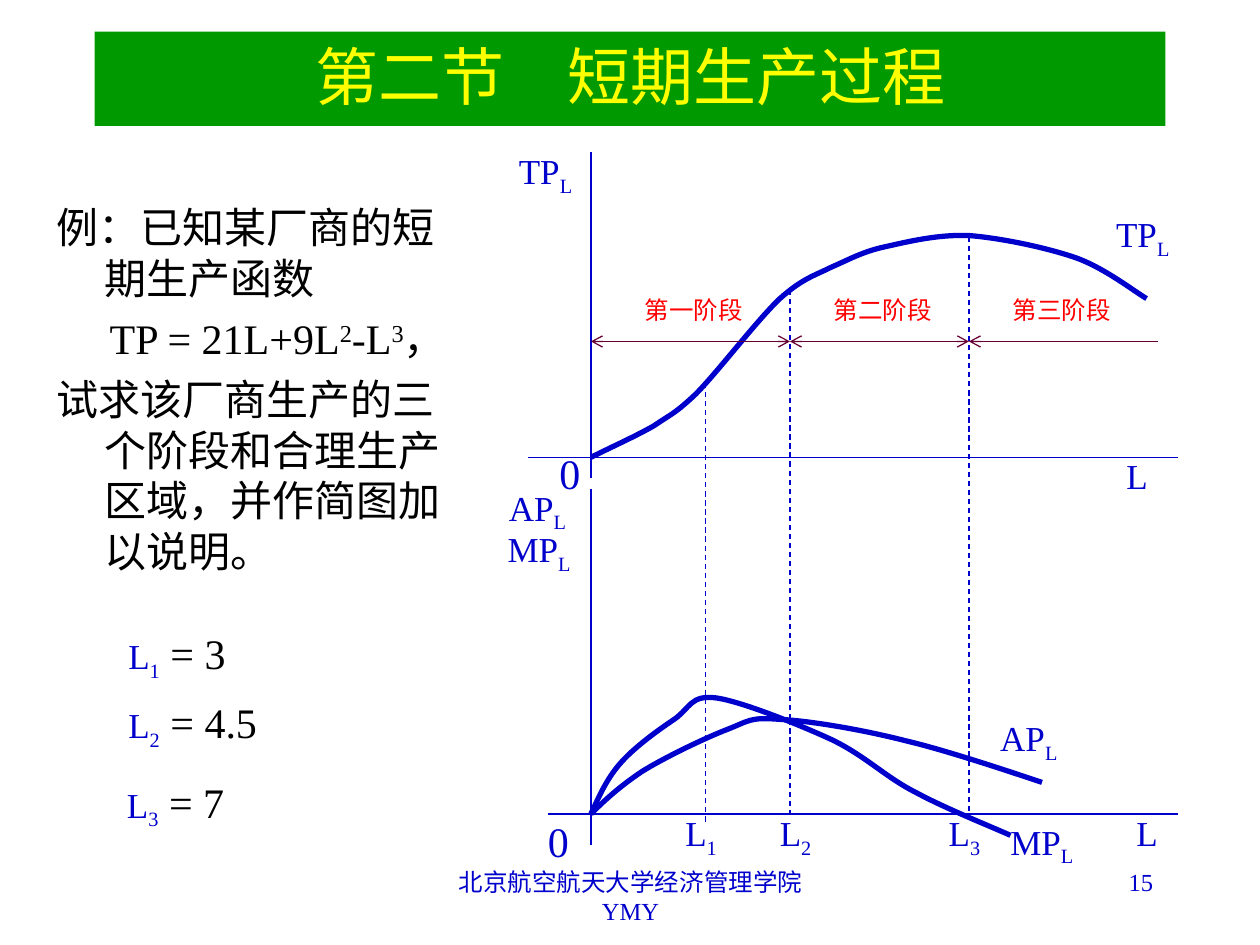
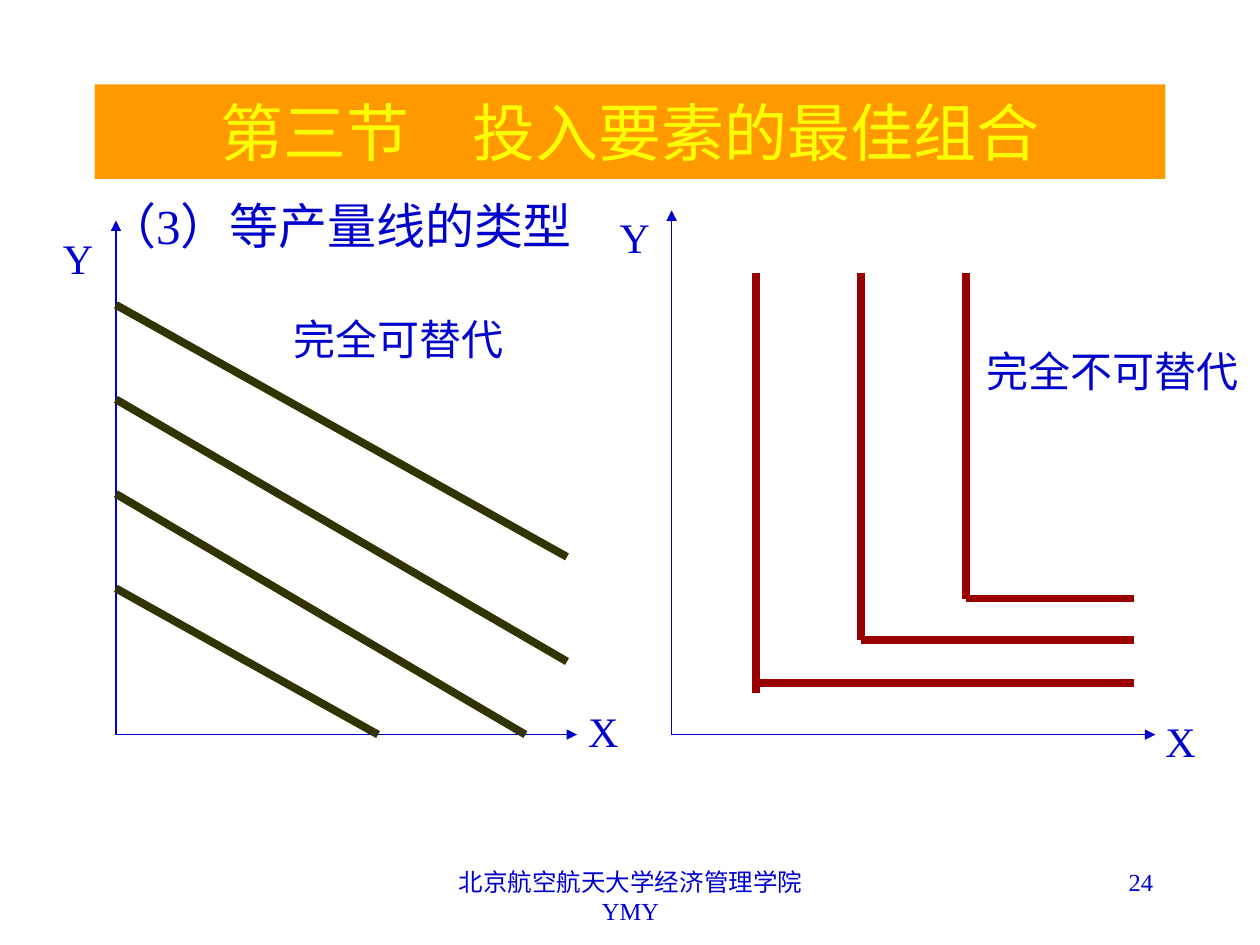
from lxml import etree
from pptx import Presentation
from pptx.dml.color import RGBColor
from pptx.enum.dml import MSO_LINE
from pptx.enum.shapes import MSO_CONNECTOR
from pptx.enum.text import MSO_ANCHOR, MSO_AUTO_SIZE, PP_ALIGN
from pptx.oxml.ns import qn
from pptx.util import Inches, Pt

STRAIGHT = MSO_CONNECTOR.STRAIGHT
DASH = MSO_LINE.DASH
MIDDLE, TOP = MSO_ANCHOR.MIDDLE, MSO_ANCHOR.TOP
NO_FIT, GROW = MSO_AUTO_SIZE.NONE, MSO_AUTO_SIZE.SHAPE_TO_FIT_TEXT
LEFT, CENTER, RIGHT = PP_ALIGN.LEFT, PP_ALIGN.CENTER, PP_ALIGN.RIGHT

FONT = "Times New Roman"
BLUE, BLACK, YELLOW, RED = "0000CC", "000000", "FFFF00", "FF0000"
GREEN, ORANGE = "009900", "FF9900"
PLUM, OLIVE, MAROON = "660033", "333300", "990000"
FOOTER = "北京航空航天大学经济管理学院\vYMY"
SUB, SUPER = -25, 30


# Text helpers
def color(hex_value):
    return RGBColor.from_string(hex_value)


def set_all(target, values):
    for name, value in values.items():
        setattr(target, name, value)


def place(shape, left, top, width, height):
    set_all(shape, {"left": Inches(left), "top": Inches(top),
                    "width": Inches(width), "height": Inches(height)})


def write(para, spans, size, ink=BLUE):
    """Each span is (text, baseline percent, size, colour), the last three optional."""
    for text, *extras in spans:
        base, span_size, span_ink = extras + [0, size, ink][len(extras):]
        # A line break inside the text becomes a:br
        for index, line in enumerate(text.split("\v")):
            if index:
                para.add_line_break()
            span = para.add_run()
            span.text = line
            set_all(span.font, {"name": FONT, "size": Pt(span_size), "bold": False})
            span.font.color.rgb = color(span_ink)
            if base:
                span._r.get_or_add_rPr().set("baseline", str(base * 1000))


def add_label(page, left, top, width, spans, size=20, ink=BLUE):
    if isinstance(spans, str):
        spans = [(spans,)]
    height = size / 60 + 0.1 + (0.05 if len(spans) > 1 else 0)
    box = page.shapes.add_textbox(Inches(left), Inches(top), Inches(width), Inches(height))
    set_all(box.text_frame, {"word_wrap": True, "auto_size": GROW})
    write(box.text_frame.paragraphs[0], spans, size, ink)


def with_sub(name, subscript):
    return [(name,), (subscript, SUB)]


# Parts shared by the slides
def add_footer_box(page, left, width, text, align):
    box = page.shapes.add_textbox(Inches(left), Inches(6.83), Inches(width), Inches(0.5))
    box.text_frame.word_wrap = True
    para = box.text_frame.paragraphs[0]
    para.alignment = align
    write(para, [(text,)], 14)


def add_page(deck, title, band, band_top, anchor, number):
    page = deck.slides.add_slide(deck.slide_layouts[1])
    add_footer_box(page, 3.42, 3.17, FOOTER, CENTER)
    add_footer_box(page, 7.17, 2.08, number, RIGHT)
    holder = page.shapes.title
    place(holder, 0.75, band_top, 8.5, 0.75)
    holder.fill.solid()
    holder.fill.fore_color.rgb = color(band)
    set_all(holder.text_frame, {"vertical_anchor": anchor, "auto_size": NO_FIT,
                                "word_wrap": True})
    para = holder.text_frame.paragraphs[0]
    para.alignment = CENTER
    write(para, [(title,)], 36, YELLOW)
    return page


def fill_body(page, area, paragraphs, size, ink):
    """Each paragraph is (left margin, first-line indent, spans)."""
    holder = page.placeholders[1]
    place(holder, *area)
    frame = holder.text_frame
    set_all(frame, {"vertical_anchor": TOP, "auto_size": NO_FIT, "word_wrap": True})
    for index, (margin, indent, spans) in enumerate(paragraphs):
        para = frame.add_paragraph() if index else frame.paragraphs[0]
        set_all(para, {"alignment": LEFT, "space_before": Pt(6 if index else 0)})
        props = para._p.get_or_add_pPr()
        props.set("marL", str(Inches(margin)))
        props.set("indent", str(Inches(indent)))
        etree.SubElement(props, qn("a:buNone"))
        write(para, spans, size, ink)


# Lines and curves
def add_line(page, start, end, ink=BLUE, width=0.75, dash=None, head=None, tail=None):
    line = page.shapes.add_connector(STRAIGHT, *map(Inches, (*start, *end)))
    line.line.color.rgb = color(ink)
    line.line.width = Pt(width)
    if dash:
        line.line.dash_style = dash
    outline = line.line._get_or_add_ln()
    for tag, kind in (("a:headEnd", head), ("a:tailEnd", tail)):
        if kind:
            etree.SubElement(outline, qn(tag), type=kind)
    etree.SubElement(line._element.spPr, qn("a:effectLst"))


def add_curve(page, points):
    """Points are a start, then two handles and an end for every Bezier piece."""
    start, *rest = [(Inches(x), Inches(y)) for x, y in points]
    builder = page.shapes.build_freeform(*start)
    builder.add_line_segments(rest, close=False)
    curve = builder.convert_to_shape()
    curve.shadow.inherit = False
    curve.fill.background()
    curve.line.color.rgb = color(BLUE)
    curve.line.width = Pt(3)
    # Turn every three straight segments into one cubic piece
    outline = next(curve._element.iter(qn("a:path")))
    segments = outline.findall(qn("a:lnTo"))
    for first in range(0, len(segments), 3):
        piece = etree.SubElement(outline, qn("a:cubicBezTo"))
        for segment in segments[first:first + 3]:
            piece.append(segment[0])
            outline.remove(segment)


TP_CURVE = [
    (4.69, 3.63), (4.87, 3.54), (5.05, 3.46), (5.19, 3.38),
    (5.32, 3.29), (5.35, 3.29), (5.52, 3.13), (5.69, 2.96), (6.01, 2.54), (6.19, 2.37),
    (6.37, 2.21), (6.46, 2.19), (6.6, 2.12), (6.74, 2.06), (6.84, 2), (7.02, 1.96),
    (7.2, 1.92), (7.44, 1.86), (7.69, 1.87), (7.94, 1.89), (8.28, 1.96), (8.52, 2.04),
    (8.76, 2.12), (9.01, 2.32), (9.1, 2.37)]
MP_CURVE = [
    (4.69, 6.46), (4.76, 6.31), (4.82, 6.17), (4.94, 6.04),
    (5.05, 5.92), (5.23, 5.79), (5.35, 5.71), (5.48, 5.62), (5.48, 5.51), (5.69, 5.54),
    (5.89, 5.57), (6.34, 5.75), (6.6, 5.87), (6.87, 6), (7.03, 6.17), (7.27, 6.29),
    (7.51, 6.42), (7.89, 6.57), (8.02, 6.63)]
AP_CURVE = [
    (4.69, 6.46), (4.8, 6.35), (4.92, 6.24), (5.1, 6.12),
    (5.28, 6.01), (5.59, 5.86), (5.77, 5.79), (5.95, 5.72), (5.95, 5.69), (6.19, 5.71),
    (6.42, 5.72), (6.84, 5.79), (7.19, 5.88), (7.53, 5.96), (8.09, 6.15), (8.27, 6.21)]


def build_short_run_page(deck):
    page = add_page(deck, "第二节　短期生产过程", GREEN, 0.25, TOP, "15")
    formula = [("TP = 21L+9L",), ("2", SUPER), ("-L",), ("3", SUPER), ("，",)]
    fill_body(page, (0.35, 1.55, 3.39, 3.15), [
        (0.38, -0.38, [("例：已知某厂商的短期生产函数",)]),
        (0.42, 0, formula),
        (0.38, -0.38, [("试求该厂商生产的三个阶段和合理生产区域，并作简图加以说明。",)]),
    ], 24, BLACK)

    # Axes of the upper and lower diagrams
    origin, upper_base, lower_base, axis_end = 4.69, 3.63, 6.46, 9.35
    add_line(page, (origin, 1.21), (origin, 3.79))
    add_line(page, (4.19, upper_base), (axis_end, upper_base))
    add_line(page, (origin, 3.88), (origin, 6.71))
    add_line(page, (4.35, lower_base), (axis_end, lower_base))

    # Stage limits and curves
    limit_2, limit_3 = 6.27, 7.69
    for x, top, bottom in ((limit_3, 1.88, lower_base), (5.6, 3.04, 6.54),
                           (limit_2, 5.71, lower_base), (limit_2, 5.71, 2.29)):
        add_line(page, (x, top), (x, bottom), dash=DASH)
    for points in (TP_CURVE, MP_CURVE, AP_CURVE):
        add_curve(page, points)

    # Labels of axes, limits and curves
    for left, top, name, subscript in (
            (5.34, 6.39, "L", "1"), (6.09, 6.39, "L", "2"), (7.43, 6.39, "L", "3"),
            (7.84, 5.64, "AP", "L"), (7.92, 6.46, "MP", "L"), (8.76, 1.64, "TP", "L"),
            (4.02, 1.14, "TP", "L"), (3.94, 3.81, "AP", "L"), (3.93, 4.14, "MP", "L")):
        add_label(page, left, top, 0.3 + 0.28 * len(name), with_sub(name, subscript))
    for left, top in ((8.92, 6.39), (8.84, 3.56)):
        add_label(page, left, top, 0.45, "L")
    for left, top in ((4.25, 6.42), (4.34, 3.5)):
        add_label(page, left, top, 0.45, "0", 24)

    # The three stages
    for start, end, tail, left, name in (
            (origin, limit_2, "arrow", 5.02, "第一阶段"),
            (limit_2, limit_3, "arrow", 6.52, "第二阶段"),
            (limit_3, 9.19, None, 7.94, "第三阶段")):
        add_line(page, (start, 2.71), (end, 2.71), PLUM, head="arrow", tail=tail)
        add_label(page, left, 2.29, 1.1, name, 14, RED)

    # Results
    for left, top, subscript, value in (
            (0.92, 4.93, "1", "3"), (0.92, 5.48, "2", "4.5"), (0.91, 6.11, "3", "7")):
        result = (f" = {value}", 0, 24, BLACK)
        add_label(page, left, top, 1.4, with_sub("L", subscript) + [result])


def build_isoquant_page(deck):
    page = add_page(deck, "第三节　投入要素的最佳组合", ORANGE, 0.67, MIDDLE, "24")
    fill_body(page, (0.75, 1.5, 8.5, 0.67),
              [(0.38, -0.38, [("（3）等产量线的类型",)])], 28, BLUE)

    # Axes of both diagrams
    base = 5.83
    for x, top, end in ((0.92, 1.75, 4.58), (5.33, 1.67, 9.17)):
        add_line(page, (x, base), (x, top), tail="triangle")
        add_line(page, (x, base), (end, base), tail="triangle")

    # Perfect substitutes: sloping lines at equal steps
    for step, end in enumerate(((3, base), (4.17, base), (4.5, 5.25), (4.5, 4.42))):
        add_line(page, (0.92, 4.67 - 0.75 * step), end, OLIVE, 4.5)

    # Perfect complements: right angles
    for x, foot, corner in ((6, 5.5, 5.42), (6.83, 5.08, 5.08), (7.67, 4.75, 4.75)):
        add_line(page, (x, 2.17), (x, foot), MAROON, 4.5)
        add_line(page, (x, corner), (9, corner), MAROON, 4.5)

    for left, top, width, text in (
            (9.15, 5.63, 0.5, "X"), (4.57, 5.55, 0.5, "X"),
            (0.4, 1.8, 0.5, "Y"), (4.82, 1.63, 0.5, "Y"),
            (2.23, 2.44, 2, "完全可替代"), (7.73, 2.69, 2.25, "完全不可替代")):
        add_label(page, left, top, width, text, 24)


def main():
    deck = Presentation()
    set_all(deck, {"slide_width": Inches(10), "slide_height": Inches(7.5)})
    build_short_run_page(deck)
    build_isoquant_page(deck)
    deck.save("out.pptx")


if __name__ == "__main__":
    main()
